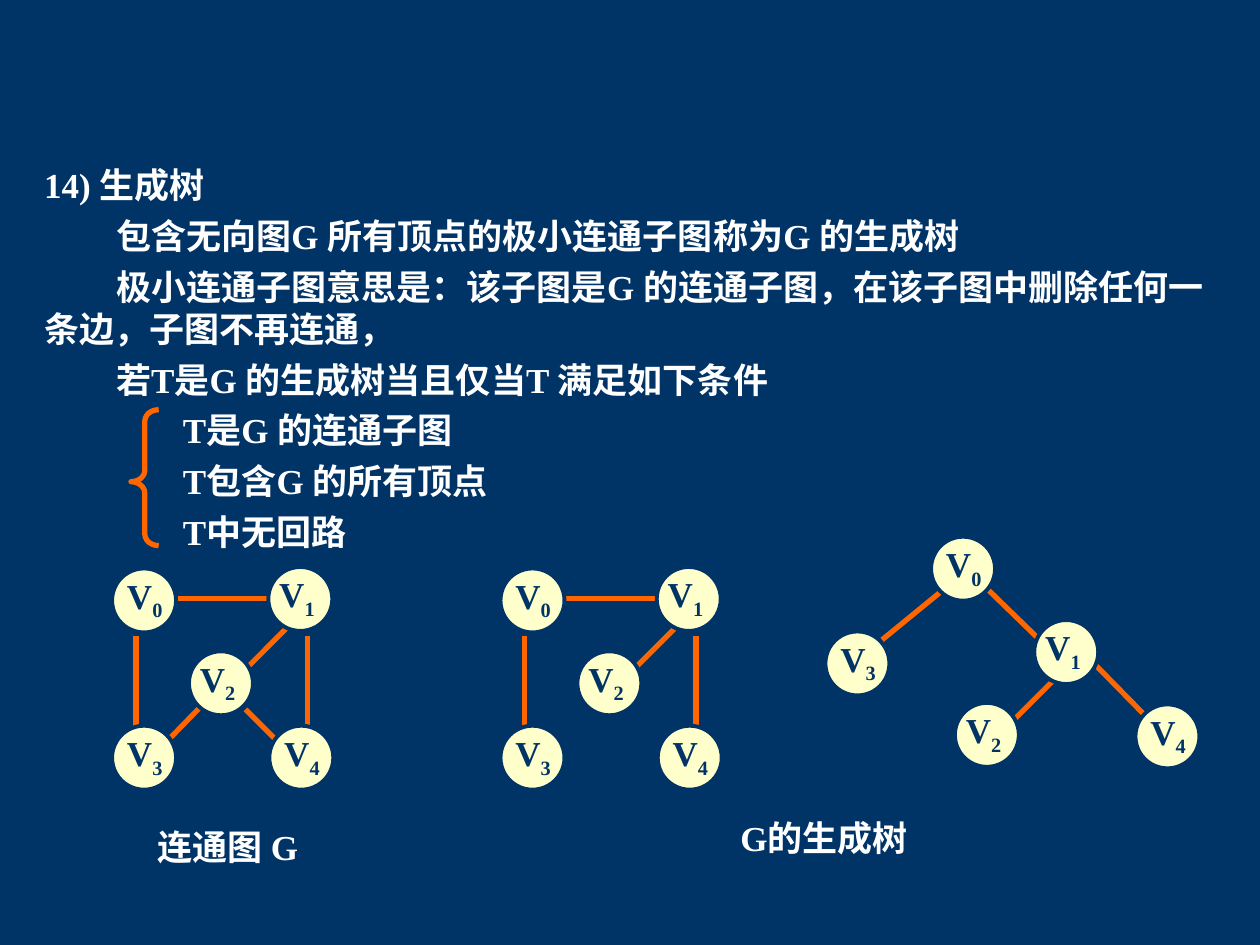
from pptx import Presentation
from pptx.dml.color import RGBColor
from pptx.enum.shapes import MSO_CONNECTOR, MSO_SHAPE
from pptx.enum.text import MSO_AUTO_SIZE, PP_ALIGN
from pptx.oxml.ns import qn
from pptx.util import Cm, Pt
from lxml.etree import SubElement

NAVY, ORANGE, CREAM, WHITE = "003366", "FF6600", "FFFFCC", "FFFFFF"


def rgb(value):
    return RGBColor.from_string(value)


def add_text(s, box, lines, color, align=PP_ALIGN.LEFT):
    tf = s.shapes.add_textbox(*map(Cm, box)).text_frame
    tf.word_wrap = True
    tf.auto_size = MSO_AUTO_SIZE.SHAPE_TO_FIT_TEXT
    for i, (text, indent) in enumerate(lines):
        p = tf.paragraphs[0] if i == 0 else tf.add_paragraph()
        p.alignment = align
        if indent:
            p._p.get_or_add_pPr().set("indent", str(Cm(indent)))
        if i:
            p.space_before = Pt(5)
        r = p.add_run()
        r.text = text
        for key, value in {"name": "Times New Roman", "size": Pt(20), "bold": True}.items():
            setattr(r.font, key, value)
        r.font.color.rgb = rgb(color)
    return tf


prs = Presentation()
prs.slide_width, prs.slide_height = Cm(25.4), Cm(19.05)
s = prs.slides.add_slide(prs.slide_layouts[6])
s.background.fill.solid()
s.background.fill.fore_color.rgb = rgb(NAVY)

add_text(s, (0.64, 3.18, 24.13, 8.1), [
    ("14) 生成树", 0),
    ("包含无向图G 所有顶点的极小连通子图称为G 的生成树", 1.45),
    ("极小连通子图意思是：该子图是G 的连通子图，在该子图中删除任何一条边，子图不再连通，", 1.45),
    ("若T是G 的生成树当且仅当T 满足如下条件", 1.45),
    ("T是G 的连通子图", 2.8),
    ("T包含G 的所有顶点", 2.8),
    ("T中无回路", 2.8),
], WHITE)

sp = s.shapes.add_shape(MSO_SHAPE.LEFT_BRACE, Cm(2.64), Cm(8.26), Cm(0.56), Cm(2.74))
sp.shadow.inherit = False
sp.fill.background()
sp.line.color.rgb = rgb(ORANGE)
sp.line.width = Pt(3)
sp.adjustments[0], sp.adjustments[1] = 0.41, 0.53

for x, y, caption in [(1.47, 16.51, "连通图 G"), (13.49, 16.33, "G的生成树")]:
    add_text(s, (x, y, 6.25, 1.12), [(caption, 0)], WHITE, PP_ALIGN.CENTER)

square = [(2.26, 11.46), (5.41, 11.43), (3.81, 13.13), (2.26, 14.63), (5.43, 14.63)]
tree = [(18.77, 10.82), (20.85, 12.5), (19.25, 14.17), (16.64, 12.73), (22.89, 14.2)]
kept_edges = [
    (2.74, 12.83, 2.74, 14.66), (3.51, 12.07, 5.61, 12.07),
    (6.2, 12.83, 6.2, 14.66), (5.77, 12.67, 5.0, 13.44),
]
cycle_edges = [(4.09, 14.2, 3.35, 14.96), (4.95, 14.3, 5.61, 14.96)]
tree_edges = [
    (19.05, 11.86, 17.78, 12.9), (22.02, 13.34, 23.06, 14.4),
    (21.21, 13.74, 20.45, 14.5), (19.89, 11.86, 20.96, 12.9),
]
graphs = [
    (7.83, square, kept_edges),
    (0, square, kept_edges + cycle_edges),
    (0, tree, tree_edges),
]

for dx, nodes, edges in graphs:
    for x1, y1, x2, y2 in edges:
        line = s.shapes.add_connector(
            MSO_CONNECTOR.STRAIGHT, Cm(x1 + dx), Cm(y1), Cm(x2 + dx), Cm(y2))
        line.line.color.rgb = rgb(ORANGE)
        line.line.width = Pt(3)
        SubElement(line._element.spPr, qn("a:effectLst"))
    for i, (x, y) in enumerate(nodes):
        sp = s.shapes.add_shape(MSO_SHAPE.OVAL, Cm(x + dx), Cm(y), Cm(1.29), Cm(1.29))
        sp.shadow.inherit = False
        sp.fill.solid()
        sp.fill.fore_color.rgb = rgb(CREAM)
        sp.line.color.rgb = rgb(NAVY)
        sp.line.width = Pt(2.25)
        shift = 0.21 if i in (1, 2) else 0.13
        tf = add_text(s, (x + dx - shift, y - 0.01, 1.8, 1.22), [("V", 0)], NAVY)
        tf.margin_left = Cm(0.43)
        r = tf.paragraphs[0].add_run()
        r.text = str(i)
        for key, value in {"name": "Times New Roman", "size": Pt(20), "bold": True}.items():
            setattr(r.font, key, value)
        r.font.color.rgb = rgb(NAVY)
        r._r.get_or_add_rPr().set("baseline", "-25000")

prs.save("out.pptx")
